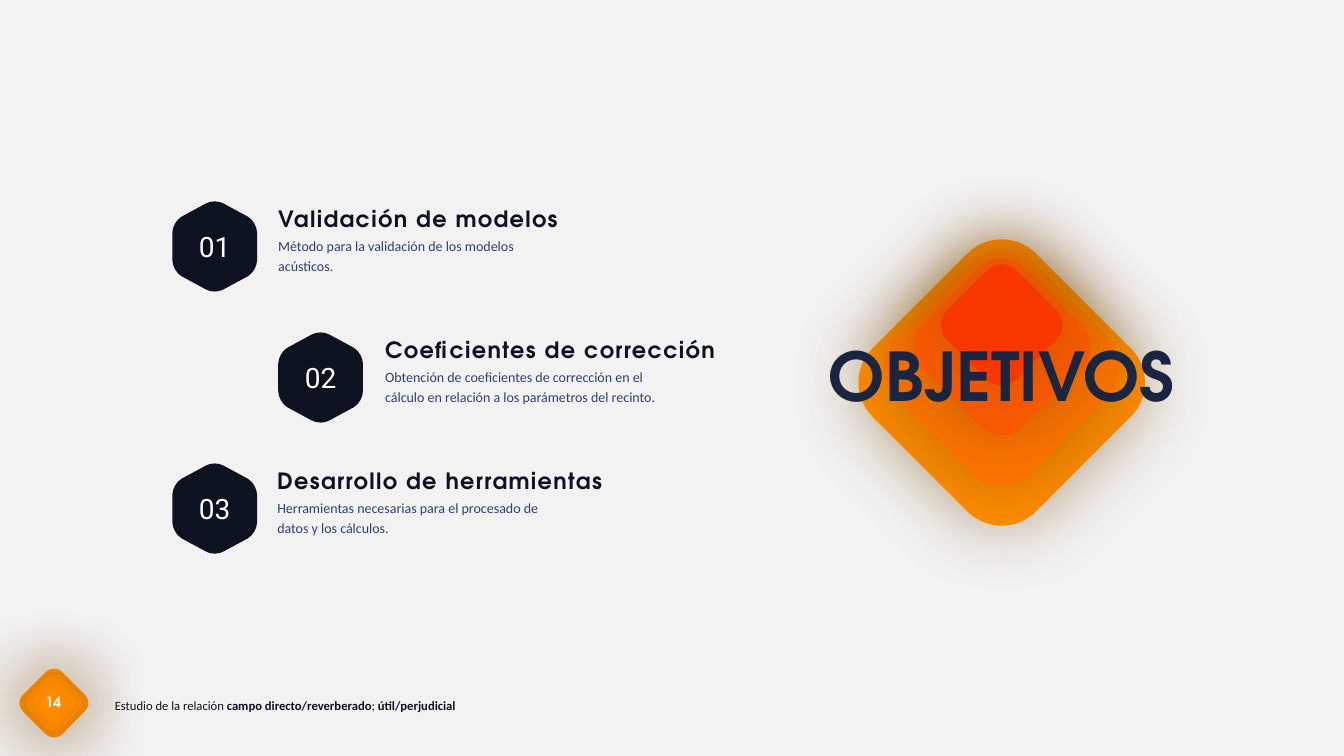
import lxml.etree
import pptx
import pptx.dml.color
import pptx.enum.shapes
import pptx.enum.text
import pptx.oxml.ns
import pptx.util
from pptx.util import Inches

COLORS = {
    "background": "F2F2F2",
    "ink": "0D1220",
    "title": "1A2541",
    "description": "2F4073",
    "white": "FFFFFF",
    "shadow": "7F4600",
    "orange": "FE8C00",
    "dark_orange": "FC7300",
    "vermilion": "FA5A00",
    "red": "F83600",
}
DISPLAY_FONT = "TeX Gyre Adventor"
FONTS = {
    "footer": {"name": "Calibri", "size": pptx.util.Pt(9)},
    "page": {"name": DISPLAY_FONT, "size": pptx.util.Pt(10), "bold": True},
    "title": {"name": DISPLAY_FONT, "size": pptx.util.Pt(48), "bold": True},
    "number": {"name": "Roboto", "size": pptx.util.Pt(20)},
    "heading": {"name": DISPLAY_FONT, "size": pptx.util.Pt(16), "bold": True},
    "description": {"name": "Calibri", "size": pptx.util.Pt(10)},
}
CENTER = pptx.enum.text.PP_ALIGN.CENTER
TOP = pptx.enum.text.MSO_ANCHOR.TOP
MIDDLE = pptx.enum.text.MSO_ANCHOR.MIDDLE
GROW = pptx.enum.text.MSO_AUTO_SIZE.SHAPE_TO_FIT_TEXT
NO_MARGINS = {"margin_left": 0, "margin_top": 0, "margin_right": 0, "margin_bottom": 0}

HEXAGON_WIDTH, HEXAGON_HEIGHT = 0.84, 0.91
SIDE_CORNER = [(0, 0.32), (0, 0.26), (0.04, 0.19), (0.09, 0.16)]
TOP_CORNER = [(0.33, 0.03), (0.38, 0), (0.46, 0), (0.51, 0.03)]

ITEMS = [
    (1.71, 2.76, 3.2, 2.47, "Validación de modelos",
     "Método para la validación de los modelos acústicos."),
    (2.76, 3.82, 3.56, 2.77, "Coeficientes de corrección",
     "Obtención de coeficientes de corrección en el cálculo en relación a los parámetros del recinto."),
    (1.71, 2.75, 3.53, 2.82, "Desarrollo de herramientas",
     "Herramientas necesarias para el procesado de datos y los cálculos."),
]


def rgb(color):
    return pptx.dml.color.RGBColor.from_string(COLORS[color])


def set_values(target, values):
    for name, value in values.items():
        setattr(target, name, value)


def add_run(paragraph, text, style, color, **extra):
    run = paragraph.add_run()
    run.text = text
    set_values(run.font, {**FONTS[style], **extra})
    run.font.color.rgb = rgb(color)
    return run


def add_text_box(slide, left, top, width, height, frame_values):
    shape = slide.shapes.add_textbox(Inches(left), Inches(top), Inches(width), Inches(height))
    set_values(shape.text_frame, frame_values)
    return shape.text_frame.paragraphs[0]


def fill_plain(shape, color):
    shape.fill.solid()
    shape.fill.fore_color.rgb = rgb(color)
    shape.line.fill.background()
    shape.shadow.inherit = False


def add_diamond(slide, left, top, size, color):
    shape = slide.shapes.add_shape(
        pptx.enum.shapes.MSO_SHAPE.ROUNDED_RECTANGLE,
        Inches(left), Inches(top), Inches(size), Inches(size))
    shape.adjustments[0] = 0.21
    shape.rotation = 45
    fill_plain(shape, color)
    qn = pptx.oxml.ns.qn
    effects = shape.element.spPr.find(qn("a:effectLst"))
    shadow = lxml.etree.SubElement(effects, qn("a:outerShdw"), blurRad=str(pptx.util.Pt(54)),
                                   dist="0", dir="0", algn="ctr", rotWithShape="0")
    tint = lxml.etree.SubElement(shadow, qn("a:srgbClr"), val=COLORS["shadow"])
    lxml.etree.SubElement(tint, qn("a:alpha"), val="40000")


def curve_corners(shape):
    qn = pptx.oxml.ns.qn
    segments = list(shape.element.spPr.iter(qn("a:lnTo")))
    for start in range(0, len(segments), 4):
        controls = segments[start:start + 3]
        outline = controls[0].getparent()
        curve = outline.makeelement(qn("a:cubicBezTo"))
        outline.insert(outline.index(controls[0]), curve)
        for segment in controls:
            curve.append(segment[0])
            outline.remove(segment)


def add_hexagon(slide, left, top, number):
    mirrored_side = [(HEXAGON_WIDTH - x, y) for x, y in reversed(SIDE_CORNER)]
    upper = [SIDE_CORNER, TOP_CORNER, mirrored_side]
    lower = [[(HEXAGON_WIDTH - x, HEXAGON_HEIGHT - y) for x, y in corner] for corner in upper]
    points = [(Inches(x), Inches(y)) for corner in upper + lower for x, y in corner]
    builder = slide.shapes.build_freeform(*points[0])
    builder.add_line_segments(points[1:], close=True)
    shape = builder.convert_to_shape(Inches(left), Inches(top))
    curve_corners(shape)
    fill_plain(shape, "ink")
    set_values(shape.text_frame, {**NO_MARGINS, "vertical_anchor": MIDDLE, "word_wrap": True})
    paragraph = shape.text_frame.paragraphs[0]
    paragraph.alignment = CENTER
    add_run(paragraph, number, "number", "white")


def add_item(slide, top, number, item):
    left, text_left, heading_width, description_width, heading, description = item
    add_hexagon(slide, left, top, number)
    frame_values = {**NO_MARGINS, "word_wrap": True, "auto_size": GROW}

    paragraph = add_text_box(slide, text_left, top + 0.1, heading_width, 0.22, frame_values)
    paragraph.line_spacing = 0.8
    run = add_run(paragraph, heading, "heading", "ink")
    run.font._element.set("spc", "100")

    paragraph = add_text_box(slide, text_left, top + 0.33, description_width, 0.39,
                             {**frame_values, "margin_right": Inches(0.05)})
    paragraph.line_spacing = 1.2
    add_run(paragraph, description, "description", "description")


def add_items(slide, top, step):
    for index, item in enumerate(ITEMS):
        add_item(slide, top + index * step, f"{index + 1:02}", item)


def add_title(slide, left, top, width):
    center = left + width / 2
    diamonds = [(0, 2.29, "orange"), (0.06, 1.89, "dark_orange"),
                (0.08, 1.42, "vermilion"), (0.09, 0.97, "red")]
    for offset, size, color in diamonds:
        add_diamond(slide, center - size / 2, top + offset, size, color)
    title = slide.shapes.title
    set_values(title, {"left": Inches(left), "top": Inches(top + 0.62),
                       "width": Inches(width), "height": Inches(0.91)})
    set_values(title.text_frame, {"word_wrap": False, "auto_size": GROW, "vertical_anchor": TOP})
    paragraph = title.text_frame.paragraphs[0]
    paragraph.alignment = CENTER
    add_run(paragraph, "OBJETIVOS", "title", "title")
    title.element.getparent().append(title.element)


def add_footer(slide, left, top):
    paragraph = add_text_box(slide, left + 0.78, top + 0.17, 3.64, 0.25,
                             {"word_wrap": False, "auto_size": GROW})
    for text, bold in [("Estudio de la relación ", False), ("campo directo/reverberado", True),
                       ("; ", False), ("útil/perjudicial", True)]:
        add_run(paragraph, text, "footer", "ink", bold=bold)
    for size in (0.55, 0.45, 0.34, 0.23):
        inset = (0.55 - size) / 2
        add_diamond(slide, left + inset, top + inset, size, "orange")
    paragraph = add_text_box(slide, left + 0.2, top + 0.1, 0.14, 0.32, {
        "word_wrap": False, "vertical_anchor": MIDDLE,
        "margin_left": Inches(0.07), "margin_right": Inches(0.07),
        "margin_top": Inches(0.03), "margin_bottom": Inches(0.03)})
    paragraph.alignment = CENTER
    add_run(paragraph, "14", "page", "white")


def main():
    presentation = pptx.Presentation()
    set_values(presentation, {"slide_width": Inches(13.33), "slide_height": Inches(7.5)})
    slide = presentation.slides.add_slide(presentation.slide_layouts[5])
    slide.background.fill.solid()
    slide.background.fill.fore_color.rgb = rgb("background")
    add_footer(slide, 0.26, 6.7)
    add_title(slide, 8.09, 2.65, 3.69)
    add_items(slide, 1.99, 1.3)
    presentation.save("out.pptx")


if __name__ == "__main__":
    main()
